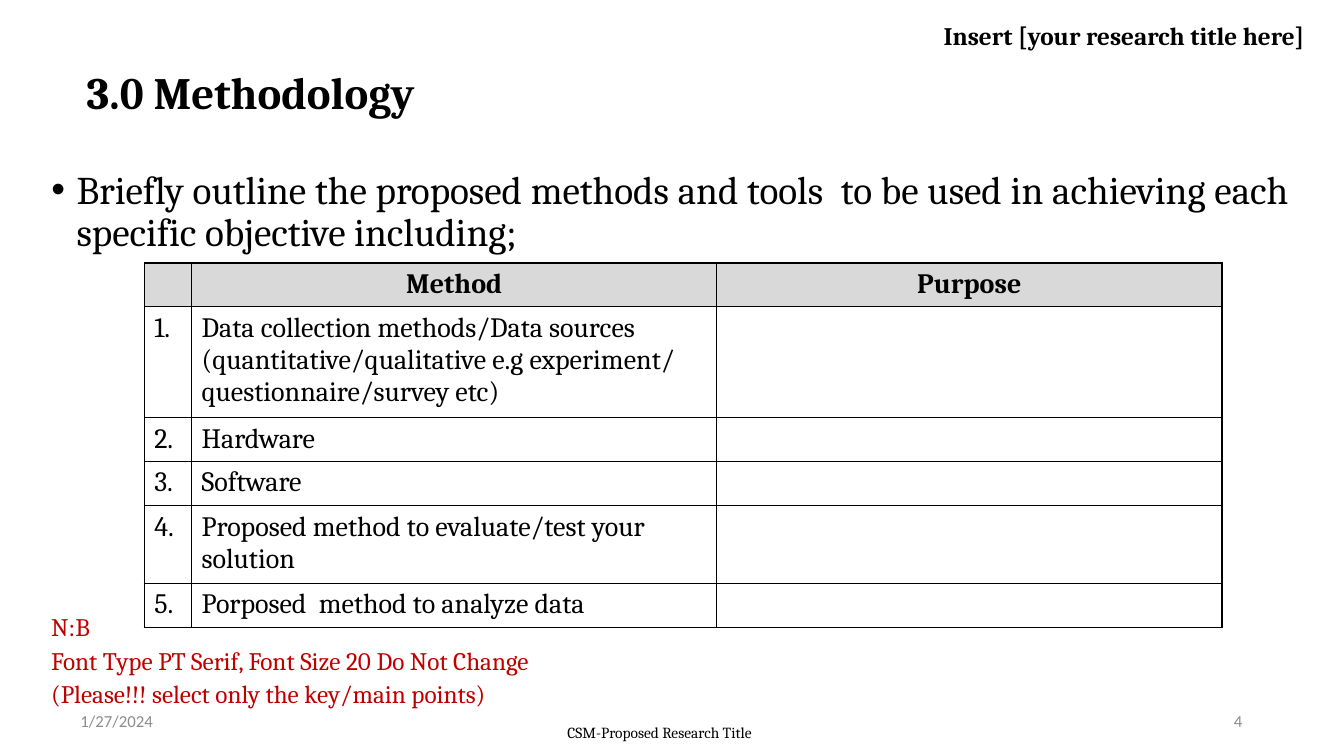
from dataclasses import dataclass

from lxml.etree import SubElement
from pptx import Presentation
from pptx.dml.color import RGBColor
from pptx.enum.text import MSO_ANCHOR, MSO_AUTO_SIZE, PP_ALIGN
from pptx.oxml.ns import qn
from pptx.util import Inches, Pt

TITLE = "3.0 Methodology"
OUTLINE = ("Briefly outline the proposed methods and tools  to be used in "
           "achieving each specific objective including;")
HEADER = ["", "Method", "Purpose"]
METHODS = [
    "Data collection methods/Data sources (quantitative/qualitative e.g experiment/ questionnaire/survey etc)",
    "Hardware",
    "Software",
    "Proposed method to evaluate/test your solution",
    "Porposed  method to analyze data",
]
NOTES = [
    "N:B",
    "Font Type PT Serif, Font Size 20 Do Not Change",
    "(Please!!! select only the key/main points)",
]
COLUMN_WIDTHS = [0.47, 5.21, 5.01]
ROW_HEIGHTS = [0.43, 1.1, 0.43, 0.44, 0.77, 0.43]


@dataclass(frozen=True)
class Theme:
    """Fonts, colours and type sizes of the slide."""

    serif: str = "Cambria"
    sans: str = "Calibri"
    black: str = "000000"
    red: str = "C00000"
    grey: str = "8C8C8C"
    header_fill: str = "D9D9D9"
    title: int = 32
    body: int = 28
    table: int = 20
    note: int = 18
    small: int = 12
    footer: int = 11


THEME = Theme()


def style(paragraph, size, color=THEME.black, name=THEME.serif, bold=False, align=PP_ALIGN.LEFT):
    """Set the font and alignment of a paragraph."""
    font = paragraph.font
    font.size, font.name, font.bold = Pt(size), name, bold
    font.color.rgb = RGBColor.from_string(color)
    paragraph.alignment = align


def fill_placeholder(shape, text, box, size, **options):
    """Place a template placeholder and write one paragraph in it."""
    shape.left, shape.top, shape.width, shape.height = map(Inches, box)
    frame = shape.text_frame
    frame.text = text
    frame.auto_size = MSO_AUTO_SIZE.NONE
    frame.vertical_anchor = MSO_ANCHOR.TOP
    paragraph = frame.paragraphs[0]
    paragraph.line_spacing = 0.9
    paragraph.space_before = Pt(10)
    style(paragraph, size, **options)
    return paragraph


def add_text(slide, lines, box, size, anchor=MSO_ANCHOR.TOP, spacing=1.0, **options):
    """Add a wrapping text box with one paragraph per line."""
    frame = slide.shapes.add_textbox(*map(Inches, box)).text_frame
    frame.word_wrap = True
    frame.vertical_anchor = anchor
    frame.text = "\n".join(lines)
    for paragraph in frame.paragraphs:
        paragraph.line_spacing = spacing
        style(paragraph, size, **options)


def add_borders(cell):
    """Draw a thin black line on each side of a cell."""
    properties = cell._tc.get_or_add_tcPr()
    for side in ("a:lnL", "a:lnR", "a:lnT", "a:lnB"):
        line = SubElement(properties, qn(side), w=str(Pt(1)))
        fill = SubElement(line, qn("a:solidFill"))
        SubElement(fill, qn("a:srgbClr"), val=THEME.black)


def add_method_table(slide):
    """Add the table of methods and their purposes."""
    rows = [HEADER] + [[f"{number}.", method, ""] for number, method in enumerate(METHODS, 1)]
    box = (1.43, 2.61, sum(COLUMN_WIDTHS), sum(ROW_HEIGHTS))
    table = slide.shapes.add_table(len(rows), len(HEADER), *map(Inches, box)).table
    table.first_row = table.horz_banding = False
    for column, width in zip(table.columns, COLUMN_WIDTHS):
        column.width = Inches(width)
    for row, height in zip(table.rows, ROW_HEIGHTS):
        row.height = Inches(height)
    for row_index, row in enumerate(rows):
        is_header = row_index == 0
        for column_index, text in enumerate(row):
            cell = table.cell(row_index, column_index)
            cell.text = text
            style(cell.text_frame.paragraphs[0], THEME.table, bold=is_header,
                  align=PP_ALIGN.CENTER if is_header else PP_ALIGN.LEFT)
            add_borders(cell)
            if is_header:
                cell.fill.solid()
                cell.fill.fore_color.rgb = RGBColor.from_string(THEME.header_fill)
            else:
                cell.fill.background()


def main():
    """Build and save the methodology slide."""
    presentation = Presentation()
    presentation.slide_width, presentation.slide_height = Inches(13.33), Inches(7.5)
    slide = presentation.slides.add_slide(presentation.slide_layouts[1])

    fill_placeholder(slide.shapes.title, TITLE, (0.76, 0.65, 3.81, 0.62), THEME.title, bold=True)
    outline = fill_placeholder(slide.placeholders[1], OUTLINE, (0.41, 1.64, 12.47, 0.97),
                               THEME.body, align=PP_ALIGN.JUSTIFY)
    properties = outline._p.get_or_add_pPr()
    properties.set("marL", str(Inches(0.25)))
    properties.set("indent", str(-Inches(0.25)))

    small = dict(size=THEME.small, anchor=MSO_ANCHOR.MIDDLE, color=THEME.grey, name=THEME.sans)
    add_text(slide, ["1/27/2024"], (0.7, 6.95, 3, 0.4), **small)
    add_text(slide, ["4"], (9.42, 6.95, 3, 0.4), align=PP_ALIGN.RIGHT, **small)
    add_text(slide, ["Insert [your research title here]"], (9.26, 0.15, 4.08, 0.4),
             THEME.note, bold=True)
    add_text(slide, ["CSM-Proposed Research Title "], (4.31, 7.07, 4.5, 0.4), THEME.footer,
             anchor=MSO_ANCHOR.MIDDLE, align=PP_ALIGN.CENTER)
    add_text(slide, NOTES, (0.41, 5.99, 6.67, 1.08), THEME.note, spacing=1.1, color=THEME.red)
    add_method_table(slide)
    presentation.save("out.pptx")


if __name__ == "__main__":
    main()
